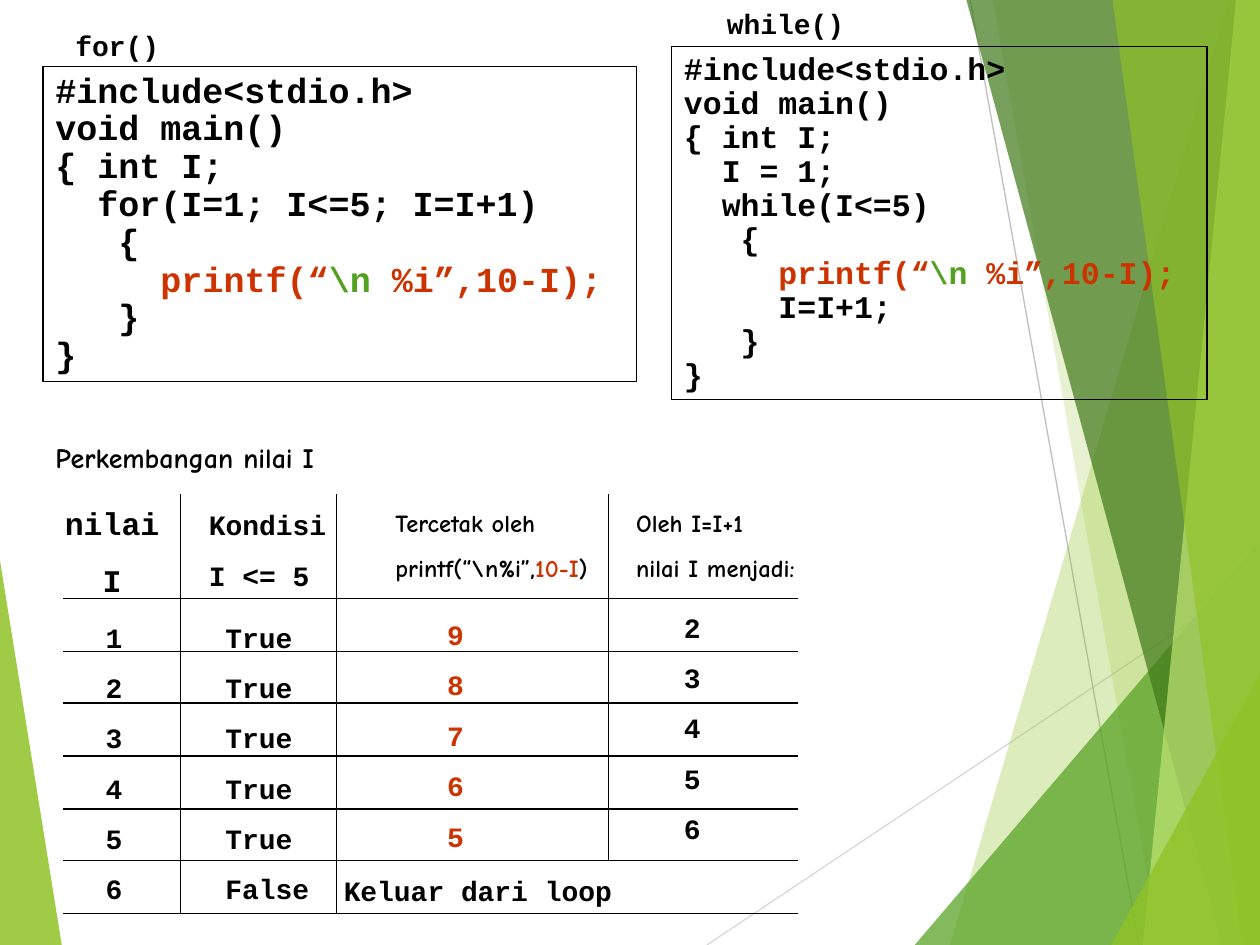
from lxml import etree
from pptx import Presentation
from pptx import util as u
from pptx.dml.color import RGBColor
from pptx.enum import shapes, text
from pptx.oxml.ns import qn

PX = 9144
HUE = {
    "ink": "000000", "red": "CC3300", "green": "54A021", "lime": "90C226",
    "dark": "3F7819", "pale": "C0E474", "gray": "BFBFBF", "mist": "D9D9D9",
}
MONO, COMIC = "Courier New", "Comic Neue"


def px(n):
    return u.Emu(round(n) * PX)


def rgb(hue):
    return RGBColor.from_string(HUE[hue])


def write(shape, lines, size=16, font=MONO, hue="ink", gap=1.0, align="LEFT", wrap=False):
    frame = shape.text_frame
    frame.word_wrap = wrap
    frame.auto_size = text.MSO_AUTO_SIZE.SHAPE_TO_FIT_TEXT
    frame.vertical_anchor = text.MSO_ANCHOR.TOP
    for i, line in enumerate(lines):
        para = frame.add_paragraph() if i else frame.paragraphs[0]
        para.line_spacing = gap
        para.alignment = text.PP_ALIGN[align]
        for part, tint in [(line, hue)] if isinstance(line, str) else line:
            run = para.add_run()
            run.text = part
            run.font.size = u.Pt(size)
            run.font.name = font
            run.font.bold = True
            run.font.color.rgb = rgb(tint)


def label(slide, box, lines, **form):
    write(slide.shapes.add_textbox(*map(px, box)), lines, **form)


def rule(slide, x1, y1, x2, y2, hue="ink"):
    line = slide.shapes.add_connector(shapes.MSO_CONNECTOR.STRAIGHT, *map(px, (x1, y1, x2, y2)))
    line.line.color.rgb = rgb(hue)
    line.line.width = u.Pt(0.75)
    etree.SubElement(line._element.spPr, qn("a:effectLst"))


def facet(slide, left, top, points, hue, alpha):
    start, *rest = [(left + x, top + y) for x, y in points]
    pen = slide.shapes.build_freeform(*start, scale=PX)
    pen.add_line_segments(rest, close=True)
    shape = pen.convert_to_shape()
    shape.shadow.inherit = False
    shape.line.fill.background()
    shape.fill.solid()
    shape.fill.fore_color.rgb = rgb(hue)
    color = shape._element.spPr.find(".//" + qn("a:srgbClr"))
    etree.SubElement(color, qn("a:alpha"), val=str(alpha * 1000))


def decor(slide, box):
    x, y, w, h = box
    facet(slide, x, y, [(0, 445), (49, h), (0, h)], "lime", 85)
    rule(slide, x + 561, y + h, x + w, y + 457, "mist")
    rule(slide, x + 770, y, x + 904, y + h, "gray")
    for top, low, hue, alpha in [
        (975, 754, "lime", 30),
        (788, 920, "lime", 20),
    ]:
        facet(slide, x, y, [(top, 0), (low, h), (w, h), (w, 0)], hue, alpha)
    facet(slide, x, y, [(726, h), (w, 429), (w, h)], "green", 72)
    for top, low, hue, alpha in [
        (767, 970, "dark", 70),
        (981, 907, "pale", 70),
        (883, 986, "lime", 65),
    ]:
        facet(slide, x, y, [(top, 0), (low, h), (w, h), (w, 0)], hue, alpha)
    facet(slide, x, y, [(882, h), (w, 535), (w, h)], "lime", 80)


def code(slide, box, name, tag, lines, size, wrap=False, gap=1.0):
    x, y, w, h = box
    panel = slide.shapes.add_shape(shapes.MSO_SHAPE.RECTANGLE, *map(px, box))
    panel.shadow.inherit = False
    panel.fill.background()
    panel.line.color.rgb = rgb("ink")
    panel.line.width = u.Pt(0.75)
    write(panel, lines, size=size, gap=0.9, wrap=wrap)
    dx, dy, wide, high = tag
    label(slide, (x + dx, y + dy, wide, high), [name], gap=gap)


def trace(slide, box):
    x, y, w, h = box
    head, rows = 83, 6
    step = (h - head) / rows
    label(slide, (x - 16, y - 47, 228, 37), ["Perkembangan nilai I"], font=COMIC)

    small = {"size": 14, "font": COMIC}
    call = [(r"printf(“\n%i”,", "ink"), ("10-I", "red"), (")", "ink")]
    for dx, dy, wide, high, lines, form in [
        (-9, -12, 96, 100, ["nilai", "I"], {"size": 18, "align": "CENTER"}),
        (106, -7, 115, 90, ["Kondisi", "I <= 5"], {}),
        (254, -5, 175, 80, ["Tercetak oleh", call], small),
        (445, -5, 148, 80, ["Oleh I=I+1", "nilai I menjadi:"], small),
        (24, 82, 34, 250, "123456", {}),
        (119, 82, 89, 250, ["True"] * 5 + ["False"], {}),
        (295, 80, 34, 210, "98765", {"hue": "red"}),
        (213, 283, 235, 50, ["Keluar dari loop"], {}),
        (483, 74, 34, 210, "23456", {}),
    ]:
        label(slide, (x + dx, y + dy, wide, high), lines, gap=1.5, **form)

    for i in range(rows + 1):
        level = y + head + i * step
        rule(slide, x, level, x + w, level)
    for dx, low in [(93, h), (217, h), (433, h - step)]:
        rule(slide, x + dx, y, x + dx, y + low)


def main():
    deck = Presentation()
    deck.slide_width, deck.slide_height = px(1000), px(750)
    slide = deck.slides.add_slide(deck.slide_layouts[6])
    decor(slide, (0, 0, 1000, 750))
    trace(slide, (50, 392, 583, 333))

    start = ["#include<stdio.h>", "void main()", "{ int I;"]
    show = [("     ", "ink"), ("printf(“", "red"), (r"\n", "green"), (" %i”,10-I);", "red")]
    end = ["   }", "}"]
    code(slide, (34, 53, 471, 250), "for()", (16, -38, 89, 40),
         start + ["  for(I=1; I<=5; I=I+1)", "   {", show] + end, 20, gap=1.1)
    code(slide, (533, 37, 425, 280), "while()", (34, -37, 115, 37),
         start + ["  I = 1;", "  while(I<=5)", "   {", show, "     I=I+1;"] + end, 18, wrap=True)
    deck.save("out.pptx")


if __name__ == "__main__":
    main()
